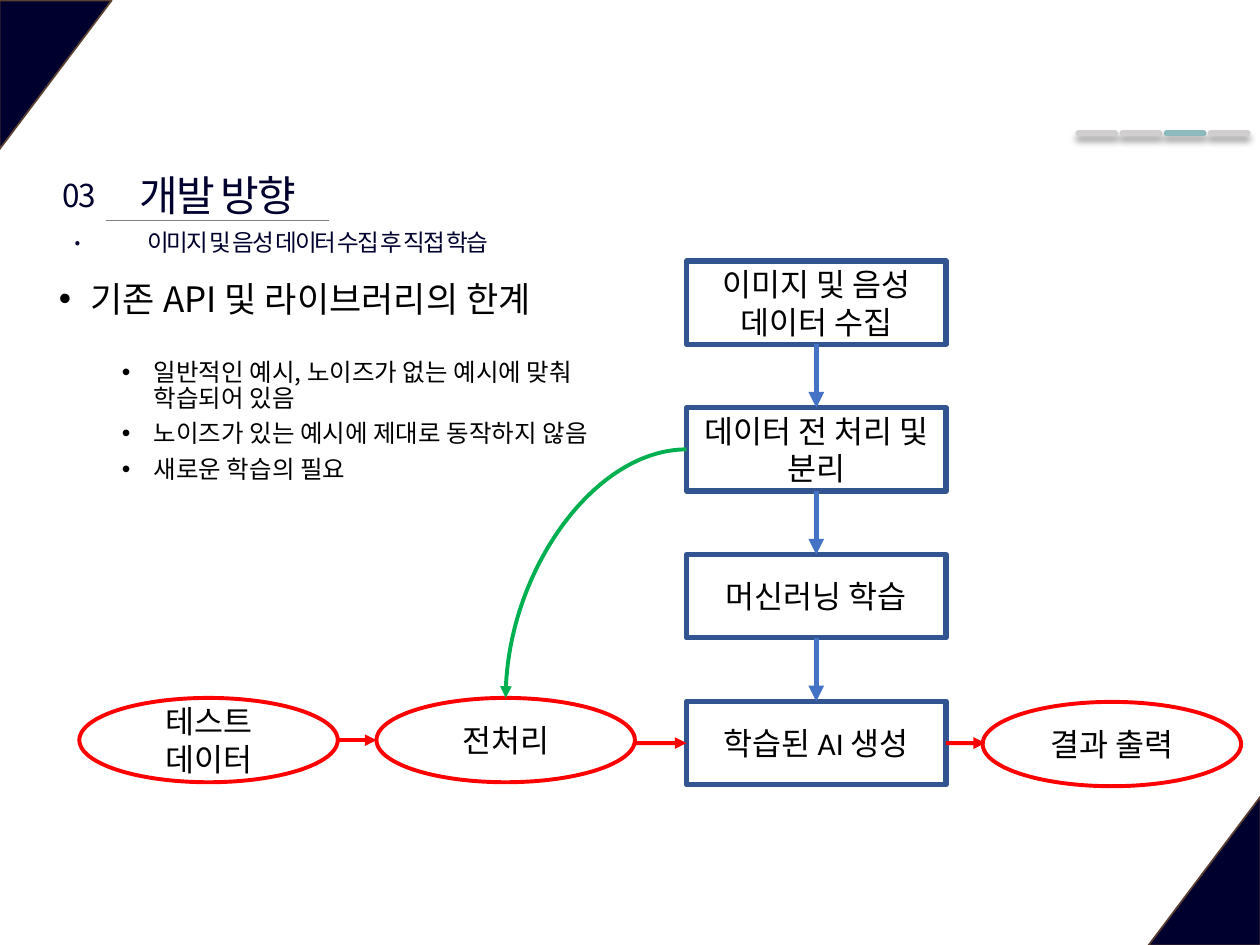
from lxml import etree
from pptx import Presentation
from pptx.dml.color import RGBColor
from pptx.enum.shapes import MSO_CONNECTOR, MSO_SHAPE
from pptx.enum.text import MSO_ANCHOR, PP_ALIGN
from pptx.oxml.ns import qn
from pptx.util import Cm, Pt

RECT, OVAL, TRIANGLE = MSO_SHAPE.RECTANGLE, MSO_SHAPE.OVAL, MSO_SHAPE.ISOSCELES_TRIANGLE
STRAIGHT, CURVE = MSO_CONNECTOR.STRAIGHT, MSO_CONNECTOR.CURVE
CENTER, LEFT, MIDDLE = PP_ALIGN.CENTER, PP_ALIGN.LEFT, MSO_ANCHOR.MIDDLE
SIDE_TOP, SIDE_LEFT, SIDE_BOTTOM, SIDE_RIGHT = range(4)

KOREAN, LATIN = "Noto Sans CJK KR", "Calibri"
COLORS = {
    "navy": "00002F", "brown": "5B3F33", "gray": "D0CECE", "teal": "8DBABD",
    "rule": "808080", "box": "325491", "flow": "4472C4", "red": "FF0000",
    "green": "00B050", "black": "000000",
}

STEPS = ["이미지 및 음성 데이터 수집", "데이터 전 처리 및 분리", "머신러닝 학습", "학습된 AI 생성"]
STEP_X, STEP_Y, STEP_W, STEP_H, STEP_PITCH = 13.84, 5.26, 5.23, 1.68, 2.96
OVAL_W, OVAL_H = 5.21, 1.7
TEST_OVALS = [("테스트\n데이터", 1.6, 14.07), ("전처리", 7.59, 14.07), ("결과 출력", 19.81, 14.15)]

HEADINGS = [
    ("개발 방향", (2.39, 3.3, 4.01, 1.27), 24, False),
    ("03.", (0.94, 3.43, 1.27, 1.02), 18, False),
    ("이미지 및 음성 데이터 수집 후 직접 학습", (2.16, 4.47, 8.48, 0.84), 13.5, True),
]
# text, level, size, space before
BULLETS = [
    ("기존 API 및 라이브러리의 한계", 0, 20, 10),
    ("일반적인 예시, 노이즈가 없는 예시에 맞춰 학습되어 있음", 1, 14, 23),
    ("노이즈가 있는 예시에 제대로 동작하지 않음", 1, 14, 5),
    ("새로운 학습의 필요", 1, 14, 5),
]


def rgb(name):
    return RGBColor.from_string(COLORS[name])


def cm(values):
    return [Cm(v) for v in values]


def add_run(p, text, size, color="black", font=KOREAN, spacing=None):
    """Add a run with separate Latin and East Asian fonts."""
    r = p.add_run()
    r.text = text
    for name, value in {"name": font, "size": Pt(size)}.items():
        setattr(r.font, name, value)
    r.font.color.rgb = rgb(color)
    r_pr = r.font._element
    etree.SubElement(r_pr, qn("a:ea")).set("typeface", KOREAN)
    if spacing is not None:
        r_pr.set("spc", str(round(spacing * 100)))


def add_corner(slide, x, y, rotation):
    sp = slide.shapes.add_shape(TRIANGLE, *cm((x, y, 3, 2.26)))
    sp.adjustments[0] = 0
    sp.rotation = rotation
    sp.shadow.inherit = False
    sp.fill.solid()
    sp.fill.fore_color.rgb = rgb("navy")
    sp.line.color.rgb = rgb("brown")
    sp.line.width = Pt(1)


def add_line(slide, start, end, color, width, arrow=False, kind=STRAIGHT):
    c = slide.shapes.add_connector(kind, *cm(start + end))
    c.line.color.rgb = rgb(color)
    c.line.width = Pt(width)
    if arrow:
        etree.SubElement(c.line._get_or_add_ln(), qn("a:tailEnd")).set("type", "triangle")
    etree.SubElement(c._element.spPr, qn("a:effectLst"))
    return c


def add_marker(slide, x, color):
    """Add one round-ended progress dash with a soft shadow below it."""
    c = add_line(slide, (x, 2.69), (x + 0.74, 2.69), color, 3.5)
    c.line._get_or_add_ln().set("cap", "rnd")
    effects = c._element.spPr.find(qn("a:effectLst"))
    shadow = etree.SubElement(effects, qn("a:outerShdw"), blurRad=str(Pt(4)),
                              dist=str(Pt(3)), dir="5400000", algn="t", rotWithShape="0")
    shade = etree.SubElement(shadow, qn("a:srgbClr"), val=COLORS["black"])
    etree.SubElement(shade, qn("a:alpha"), val="40000")


def add_heading(slide, text, box, size, wrap):
    tf = slide.shapes.add_textbox(*cm(box)).text_frame
    tf.word_wrap = wrap
    p = tf.paragraphs[0]
    p.alignment = CENTER
    add_run(p, text, size, "navy", spacing=-1.1)


def add_bullets(slide):
    tf = slide.shapes.add_textbox(*cm((0.94, 5.56, 11.58, 12.09))).text_frame
    tf.word_wrap = True
    for i, (text, level, size, before) in enumerate(BULLETS):
        p = tf.add_paragraph() if i else tf.paragraphs[0]
        formats = {"level": level, "alignment": LEFT, "line_spacing": 0.9,
                   "space_before": Pt(before)}
        for name, value in formats.items():
            setattr(p, name, value)
        p_pr = p._p.get_or_add_pPr()
        p_pr.set("marL", str(Cm(0.64 + 1.27 * level)))
        p_pr.set("indent", str(Cm(-0.64)))
        etree.SubElement(p_pr, qn("a:buFont")).set("typeface", "Arial")
        etree.SubElement(p_pr, qn("a:buChar")).set("char", "•")
        add_run(p, text, size)


def add_node(slide, kind, box, text, color, width):
    sp = slide.shapes.add_shape(kind, *cm(box))
    sp.shadow.inherit = False
    sp.fill.background()
    sp.line.color.rgb = rgb(color)
    sp.line.width = Pt(width)
    tf = sp.text_frame
    tf.word_wrap = True
    tf.vertical_anchor = MIDDLE
    for i, line in enumerate(text.split("\n")):
        p = tf.add_paragraph() if i else tf.paragraphs[0]
        p.alignment = CENTER
        add_run(p, line, 18, font=LATIN)
    return sp


def add_flow(slide):
    """Add the training column, the test row and their arrows."""
    tops = [STEP_Y + i * STEP_PITCH for i in range(len(STEPS))]
    steps = [add_node(slide, RECT, (STEP_X, y, STEP_W, STEP_H), text, "box", 3)
             for text, y in zip(STEPS, tops)]
    for text, x, y in TEST_OVALS:
        add_node(slide, OVAL, (x, y, OVAL_W, OVAL_H), text, "red", 2.25)

    mid_x = STEP_X + STEP_W / 2
    for i, y in enumerate(tops[:-1]):
        c = add_line(slide, (mid_x, y + STEP_H), (mid_x, tops[i + 1]), "flow", 3, arrow=True)
        c.begin_connect(steps[i], SIDE_BOTTOM)
        c.end_connect(steps[i + 1], SIDE_TOP)

    (_, test_x, test_y), (_, prep_x, prep_y), (_, result_x, _) = TEST_OVALS
    curve = add_line(slide, (STEP_X, tops[1] + STEP_H / 2), (prep_x + OVAL_W / 2, prep_y),
                     "green", 2.25, arrow=True, kind=CURVE)
    curve._element.spPr.find(qn("a:prstGeom")).set("prst", "curvedConnector2")

    oval_mid, step_mid = test_y + OVAL_H / 2, tops[-1] + STEP_H / 2
    add_line(slide, (test_x + OVAL_W, oval_mid), (prep_x, oval_mid), "red", 2.25, arrow=True)
    c = add_line(slide, (prep_x + OVAL_W, step_mid), (STEP_X, step_mid), "red", 2.25, arrow=True)
    c.end_connect(steps[-1], SIDE_LEFT)
    c = add_line(slide, (STEP_X + STEP_W, step_mid), (result_x + 0.05, step_mid),
                 "red", 2.25, arrow=True)
    c.begin_connect(steps[-1], SIDE_RIGHT)


def main():
    prs = Presentation()
    prs.slide_width, prs.slide_height = Cm(25.4), Cm(19.05)
    s = prs.slides.add_slide(prs.slide_layouts[6])

    add_corner(s, -0.38, 0.38, 90)
    add_corner(s, 22.78, 16.43, 270)
    for i, color in enumerate(["gray", "gray", "teal", "gray"]):
        add_marker(s, 21.74 + 0.89 * i, color)
    add_line(s, (2.13, 4.45), (6.63, 4.45), "rule", 0.5)
    for heading in HEADINGS:
        add_heading(s, *heading)
    add_bullets(s)
    add_flow(s)
    prs.save("out.pptx")


if __name__ == "__main__":
    main()
